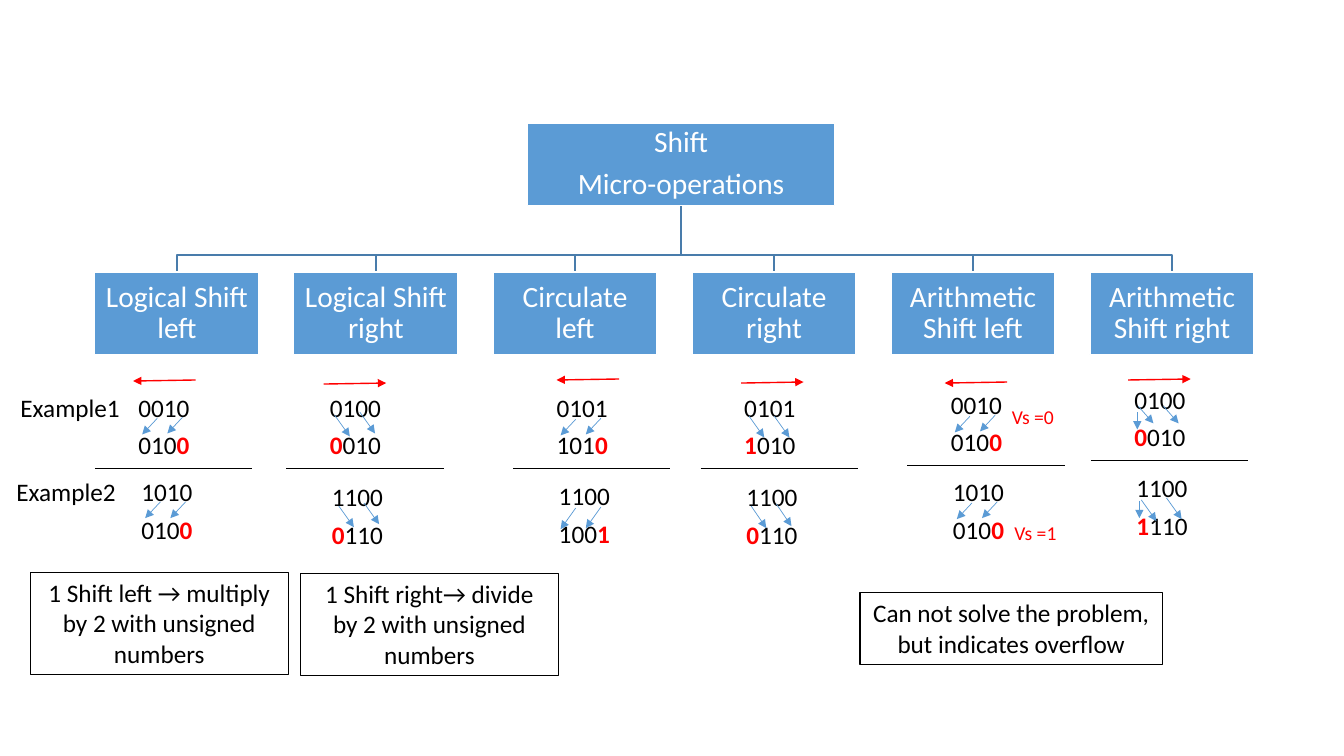
from dataclasses import dataclass

from lxml import etree
from pptx import Presentation
from pptx.dml.color import RGBColor
from pptx.enum.shapes import MSO_CONNECTOR as Connector, MSO_SHAPE as Preset
from pptx.enum.text import MSO_ANCHOR as Anchor, MSO_AUTO_SIZE as AutoSize, PP_ALIGN as Align
from pptx.oxml.ns import qn
from pptx.util import Inches, Pt

BLACK = RGBColor(0x00, 0x00, 0x00)
WHITE = RGBColor(0xFF, 0xFF, 0xFF)
RED = RGBColor(0xFF, 0x00, 0x00)
BLUE = RGBColor(0x5B, 0x9B, 0xD5)
TREE_LINE = RGBColor(0x49, 0x7C, 0xAB)

BODY_FRAME = dict(word_wrap=True, auto_size=AutoSize.SHAPE_TO_FIT_TEXT, vertical_anchor=Anchor.TOP)
FLAG_FRAME = dict(word_wrap=True, vertical_anchor=Anchor.MIDDLE)
TREE_FRAME = dict(word_wrap=True, vertical_anchor=Anchor.MIDDLE,
                  margin_left=Inches(0.09), margin_right=Inches(0.09),
                  margin_top=Inches(0.01), margin_bottom=Inches(0.01))
CENTRED = dict(alignment=Align.CENTER)
TREE_PARA = dict(alignment=Align.CENTER, line_spacing=0.9, space_after=Pt(7.35))

ROOT_BOX = (5.23, 1.22, 3.05, 0.82)
OPERATION_BOX = (0.94, 2.7, 1.63, 0.82)
OPERATION_STEP = 1.974
BRANCH_Y = 2.53
BITS_WIDTH, ROW_HEIGHT, ROW_STEP = 1.75, 0.4, 0.375
DIGIT_STEP = 0.25


@dataclass
class Example:
    """Bits before and after one shift, and where its digit arrows start."""
    before: str
    after: str
    left: float
    top: float
    arrow_x: float
    arrow_tops: tuple
    drop: float


@dataclass
class Operation:
    name: str
    to_left: bool
    arrow_left: float
    arrow_y: float
    examples: tuple
    keeps_sign: bool = False


OPERATIONS = [
    Operation("Logical Shift left", True, 1.32, 3.78, (
        Example("0010", "0100", 0.75, 3.84, 1.56, (4.15, 4.14), 0.16),
        Example("1010", "0100", 0.78, 4.68, 1.59, (4.98, 4.98), 0.16))),
    Operation("Logical Shift right", False, 3.21, 3.81, (
        Example("0100", "0010", 2.65, 3.84, 3.32, (4.12, 4.09), 0.21),
        Example("1100", "0110", 2.67, 4.73, 3.36, (5.02, 4.99), 0.21))),
    Operation("Circulate left", True, 5.52, 3.77, (
        Example("0101", "1010", 4.9, 3.84, 5.71, (4.16, 4.15), 0.16),
        Example("1100", "1001", 4.92, 4.72, 5.71, (5.04, 5.03), 0.21))),
    Operation("Circulate right", False, 7.35, 3.8, (
        Example("0101", "1010", 6.76, 3.84, 7.43, (4.13, 4.13), 0.21),
        Example("1100", "0110", 6.78, 4.73, 7.45, (5.02, 5.0), 0.22))),
    Operation("Arithmetic Shift left", True, 9.37, 3.8, (
        Example("0010", "0100", 8.81, 3.81, 9.62, (4.13, 4.12), 0.16),
        Example("1010", "0100", 8.83, 4.68, 9.64, (4.99, 4.98), 0.16))),
    Operation("Arithmetic Shift right", False, 11.19, 3.77, (
        Example("0100", "0010", 10.63, 3.76, 11.29, (4.03, 4.03), 0.17),
        Example("1100", "1110", 10.65, 4.64, 11.32, (4.96, 4.94), 0.21)), True),
]
NOTES = [
    ("1 Shift left → multiply by 2 with unsigned numbers", (0.3, 5.68, 2.56, 1.01)),
    ("1 Shift right→ divide by 2 with unsigned numbers", (2.98, 5.69, 2.56, 1.01)),
    ("Can not solve the problem, but indicates overflow", (8.53, 5.88, 3, 0.71)),
]
FLAGS = [("Vs =1", (9.73, 4.94, 1.08, 0.69)), ("Vs =0", (9.78, 3.79, 0.93, 0.69))]
ROW_LABELS = [("Example1", (0.04, 3.84, 1.31, 0.4)), ("Example2", (0, 4.68, 1.31, 0.4))]


def apply(target, values):
    for name, value in values.items():
        setattr(target, name, value)


def write(shape, paragraphs, size, frame_format, para_format):
    """Fill a shape with paragraphs, each a list of (text, colour, bold) spans."""
    frame = shape.text_frame
    apply(frame, frame_format)
    for index, spans in enumerate(paragraphs):
        para = frame.add_paragraph() if index else frame.paragraphs[0]
        apply(para, para_format)
        for text, colour, bold in spans:
            span = para.add_run()
            span.text = text
            apply(span.font, dict(name="Calibri", size=Pt(size), bold=bold))
            span.font.color.rgb = colour


def add_panel(slide, box, preset=Preset.RECTANGLE, fill=None, outline=None, width=1):
    panel = slide.shapes.add_shape(preset, *map(Inches, box))
    panel.shadow.inherit = False
    if fill is None:
        panel.fill.background()
    else:
        panel.fill.solid()
        panel.fill.fore_color.rgb = fill
    if outline is None:
        panel.line.fill.background()
    else:
        panel.line.color.rgb = outline
        panel.line.width = Pt(width)
    return panel


def add_text(slide, box, spans):
    write(slide.shapes.add_textbox(*map(Inches, box)), [spans], 18, BODY_FRAME, CENTRED)


def add_line(slide, start, end, colour, width, arrow=False):
    line = slide.shapes.add_connector(Connector.STRAIGHT, *map(Inches, (*start, *end)))
    line.line.color.rgb = colour
    line.line.width = Pt(width)
    if arrow:
        etree.SubElement(line.line._get_or_add_ln(), qn("a:tailEnd"), type="triangle")
    etree.SubElement(line._element.spPr, qn("a:effectLst"))


def add_branch(slide, root_x, root_bottom, leaf_x, leaf_top):
    points = [(root_x, root_bottom), (root_x, BRANCH_Y), (leaf_x, BRANCH_Y), (leaf_x, leaf_top)]
    start, *rest = [tuple(map(Inches, point)) for point in points]
    builder = slide.shapes.build_freeform(*start)
    builder.add_line_segments(rest, close=False)
    branch = builder.convert_to_shape()
    branch.shadow.inherit = False
    branch.fill.background()
    branch.line.color.rgb = TREE_LINE
    branch.line.width = Pt(1)


def add_node(slide, box, lines):
    node = add_panel(slide, box, fill=BLUE, outline=WHITE)
    write(node, [[(line, WHITE, False)] for line in lines], 21, TREE_FRAME, TREE_PARA)


def add_tree(slide, root_box, first_box):
    left, top, width, height = first_box
    lefts = [left + index * OPERATION_STEP for index in range(len(OPERATIONS))]
    root_x, root_bottom = root_box[0] + root_box[2] / 2, root_box[1] + root_box[3]
    for leaf_left in reversed(lefts):
        add_branch(slide, root_x, root_bottom, leaf_left + width / 2, top)
    add_node(slide, root_box, ["Shift", "Micro-operations"])
    for leaf_left, operation in zip(lefts, OPERATIONS):
        add_node(slide, (leaf_left, top, width, height), [operation.name])


def add_example(slide, example, to_left, keeps_sign):
    row = (example.left, example.top, BITS_WIDTH, ROW_HEIGHT)
    add_text(slide, row, [(example.before, BLACK, False)])
    bits = example.after
    if to_left:
        spans = [(bits[:-1], BLACK, False), (bits[-1], RED, True)]
    else:
        spans = [(bits[0], RED, True), (bits[1:], BLACK, False)]
    add_text(slide, (example.left, example.top + ROW_STEP, BITS_WIDTH, ROW_HEIGHT), spans)
    shift = -0.15 if to_left else 0.15
    for index, top in enumerate(example.arrow_tops):
        x = example.arrow_x + index * DIGIT_STEP
        add_line(slide, (x, top), (x + shift, top + example.drop), BLUE, 0.5, arrow=True)
    if keeps_sign:
        sign_x, bottom = example.left + 0.65, example.top + 0.5
        add_line(slide, (sign_x, bottom - 0.17), (sign_x, bottom), BLUE, 0.5, arrow=True)


def add_operation_examples(slide, operation):
    ends = [(operation.arrow_left, operation.arrow_y),
            (operation.arrow_left + 0.62, operation.arrow_y - 0.01)]
    start, end = reversed(ends) if operation.to_left else ends
    add_line(slide, start, end, RED, 1, arrow=True)
    for example in operation.examples:
        add_example(slide, example, operation.to_left, operation.keeps_sign)
    first = operation.examples[0]
    divider_y = first.top + 0.81
    add_line(slide, (first.left + 0.19, divider_y), (first.left + BITS_WIDTH, divider_y), BLACK, 0.5)


def add_remarks(slide):
    for text, box in NOTES:
        note = add_panel(slide, box, outline=BLACK, width=0.75)
        write(note, [[(text, BLACK, False)]], 18, BODY_FRAME, CENTRED)
    for text, box in FLAGS:
        flag = add_panel(slide, box, preset=Preset.OVAL)
        write(flag, [[(text, RED, False)]], 14, FLAG_FRAME, CENTRED)
    for text, box in ROW_LABELS:
        add_text(slide, box, [(text, BLACK, False)])


def main():
    deck = Presentation()
    deck.slide_width, deck.slide_height = Inches(13.33), Inches(7.5)
    slide = deck.slides.add_slide(deck.slide_layouts[6])
    add_tree(slide, ROOT_BOX, OPERATION_BOX)
    for operation in OPERATIONS:
        add_operation_examples(slide, operation)
    add_remarks(slide)
    deck.save("out.pptx")


if __name__ == "__main__":
    main()
